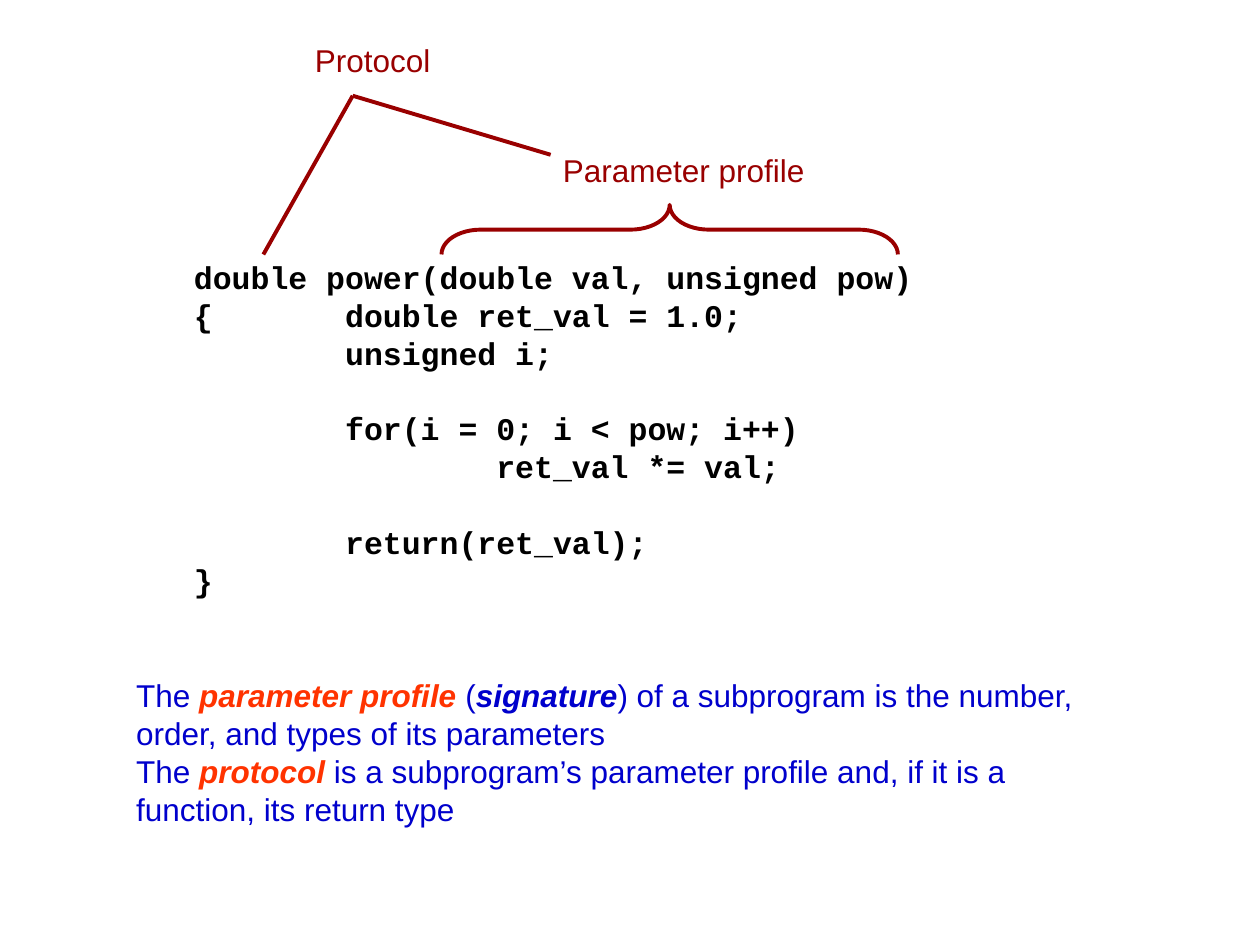
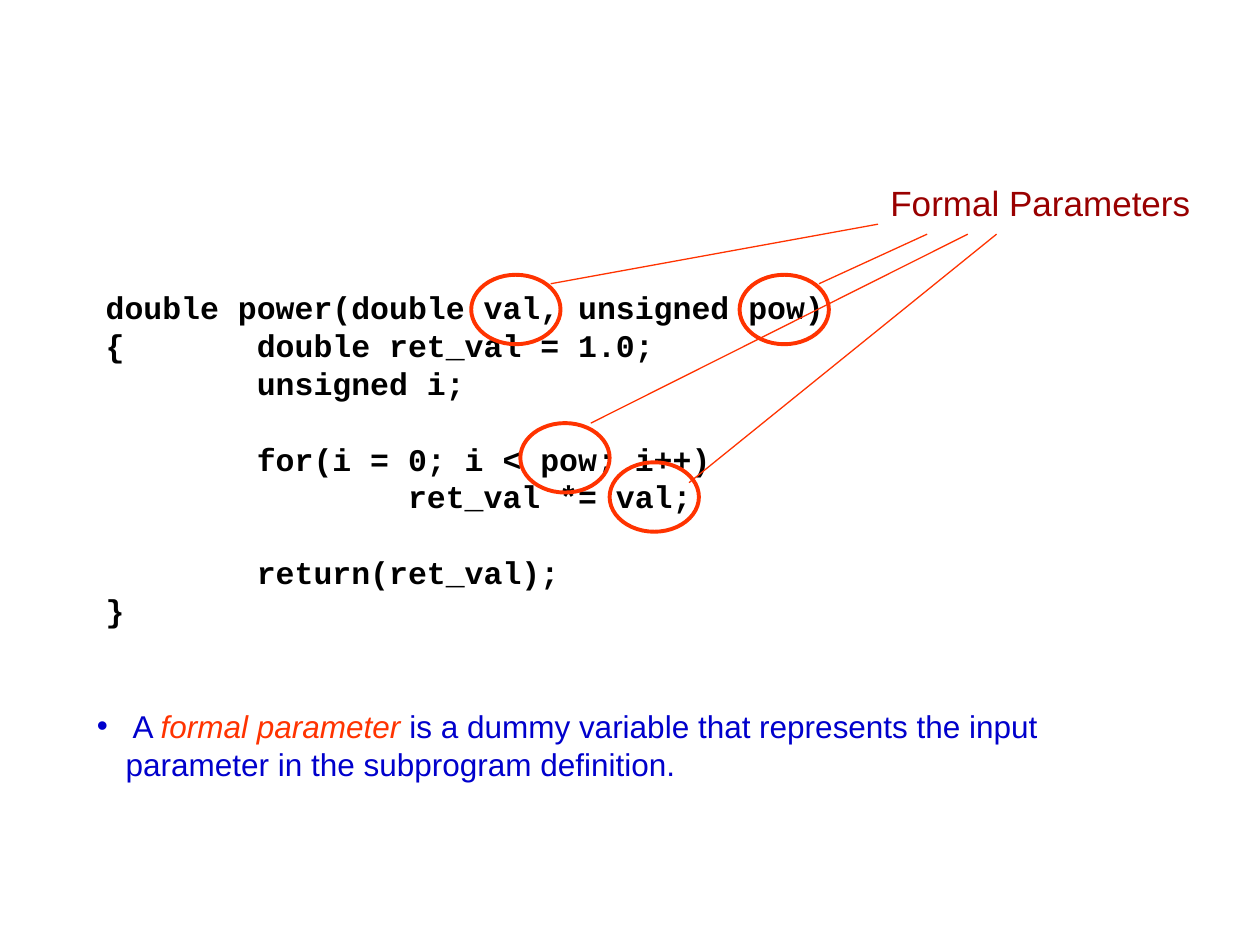
from pptx import Presentation
from pptx.dml.color import RGBColor
from pptx.enum.shapes import MSO_CONNECTOR as CONN, MSO_SHAPE as SHAPE
from pptx.enum.text import MSO_ANCHOR, MSO_AUTO_SIZE
from pptx.oxml.ns import qn
from pptx.util import Cm, Pt
from lxml.etree import SubElement

COLORS = {"code": "000000", "label": "990000", "note": "0000CC", "accent": "FF3300"}
LINE_FACTOR = 1.2
CODE = """double power(double val, unsigned pow)
{       double ret_val = 1.0;
        unsigned i;

        for(i = 0; i < pow; i++)
                ret_val *= val;

        return(ret_val);
}"""


def write(tf, paragraphs, size=18, font="Arial", wrap=False):
    tf.word_wrap = wrap
    tf.auto_size = MSO_AUTO_SIZE.NONE
    tf.vertical_anchor = MSO_ANCHOR.TOP
    gap = 0
    p = None
    for runs in paragraphs:
        if not runs:
            gap = size * LINE_FACTOR
            continue
        p = tf.add_paragraph() if p else tf.paragraphs[0]
        p.line_spacing = Pt(size * LINE_FACTOR)
        p.space_before = Pt(gap)
        gap = 0
        for text, color, bold, italic in runs:
            r = p.add_run()
            r.text = text
            r.font.name = font
            r.font.size = Pt(size)
            r.font.bold = bold
            r.font.italic = italic
            r.font.color.rgb = RGBColor.from_string(COLORS[color])


def add_line(s, x1, y1, x2, y2, color, width):
    c = s.shapes.add_connector(CONN.STRAIGHT, Cm(x1), Cm(y1), Cm(x2), Cm(y2))
    c.line.color.rgb = RGBColor.from_string(COLORS[color])
    c.line.width = Pt(width)
    SubElement(c._element.spPr, qn("a:effectLst"))


prs = Presentation()
prs.slide_width, prs.slide_height = Cm(25.4), Cm(19.05)

profile_notes = [
    [("The ", "note", False, False),
     ("parameter profile", "accent", True, True),
     (" (", "note", False, False),
     ("signature", "note", True, True),
     (") of a subprogram is the number, order, and types of its parameters",
      "note", False, False)],
    [("The ", "note", False, False),
     ("protocol", "accent", True, True),
     (" is a subprogram’s parameter profile and, if it is a function, its return type",
      "note", False, False)],
]
formal_notes = [
    [(" A ", "note", False, False),
     ("formal parameter", "accent", False, True),
     (" is a dummy variable that represents the input parameter in the subprogram definition.",
      "note", False, False)],
]

pages = [
    {"code": (3.66, 5.08), "body": (2.49, 13.51, 20.45, 4.06),
     "notes": profile_notes, "bullet": False,
     "labels": [("Protocol", 6.1, 0.71, 2.82, 1.02, 18),
                ("Parameter profile", 11.1, 2.92, 5.36, 1.02, 18)]},
    {"code": (1.88, 5.69), "body": (1.7, 14.12, 21.62, 1.78),
     "notes": formal_notes, "bullet": True,
     "labels": [("Formal Parameters", 17.7, 3.53, 6.55, 1.12, 20)]},
]

for page in pages:
    s = prs.slides.add_slide(prs.slide_layouts[1])
    title = s.shapes.title._element
    title.getparent().remove(title)

    body = s.placeholders[1]
    body.left, body.top, body.width, body.height = map(Cm, page["body"])
    write(body.text_frame, page["notes"], wrap=True)
    for p in body.text_frame.paragraphs:
        pPr = p._p.get_or_add_pPr()
        hang = Cm(0.58) if page["bullet"] else 0
        pPr.set("marL", str(hang))
        pPr.set("indent", str(-hang))
        if page["bullet"]:
            clr = SubElement(pPr, qn("a:buClr"))
            SubElement(clr, qn("a:srgbClr")).set("val", COLORS["note"])
            SubElement(pPr, qn("a:buChar")).set("char", "•")
        else:
            SubElement(pPr, qn("a:buNone"))

    x, y = page["code"]
    tb = s.shapes.add_textbox(Cm(x), Cm(y), Cm(14.99), Cm(7.11))
    code_lines = [[(line, "code", True, False)] if line else []
                  for line in CODE.split("\n")]
    write(tb.text_frame, code_lines, font="Courier New")

    for text, x, y, w, h, size in page["labels"]:
        tb = s.shapes.add_textbox(Cm(x), Cm(y), Cm(w), Cm(h))
        write(tb.text_frame, [[(text, "label", False, False)]], size)

profile_slide, formal_slide = prs.slides

brace = profile_slide.shapes.add_shape(SHAPE.LEFT_BRACE, Cm(13), Cm(0.03), Cm(1), Cm(9.2))
brace.rotation = 90
brace.adjustments[0] = 0.79
brace.shadow.inherit = False
brace.fill.background()
brace.line.color.rgb = RGBColor.from_string(COLORS["label"])
brace.line.width = Pt(2.25)

for x, y in [(5.31, 5.13), (11.1, 3.12)]:
    add_line(profile_slide, 7.11, 1.93, x, y, "label", 2.25)

for x, y in [(12.29, 9.32), (9.5, 5.54), (14.91, 5.54), (10.49, 8.53)]:
    ring = formal_slide.shapes.add_shape(SHAPE.OVAL, Cm(x), Cm(y), Cm(1.8), Cm(1.4))
    ring.shadow.inherit = False
    ring.fill.background()
    ring.line.color.rgb = RGBColor.from_string(COLORS["accent"])
    ring.line.width = Pt(2.25)

for ends in [(11.1, 5.72, 17.7, 4.52), (16.51, 5.72, 18.69, 4.72),
             (11.91, 8.53, 19.51, 4.72), (13.89, 9.73, 20.09, 4.72)]:
    add_line(formal_slide, *ends, "accent", 0.75)

prs.save("out.pptx")
